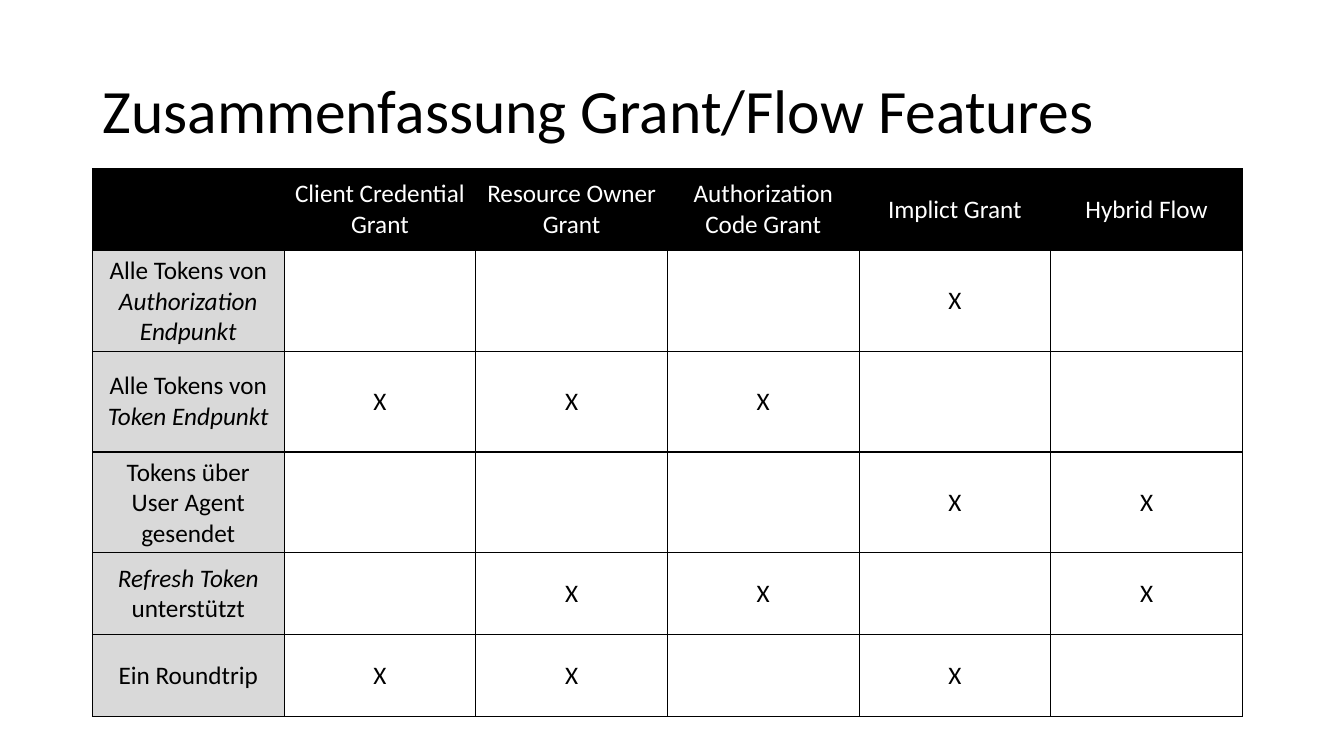
from lxml import etree
from pptx import Presentation
from pptx import util as u
from pptx.dml.color import RGBColor
from pptx.enum import text
from pptx.oxml import ns

COLORS = {"ink": "000000", "paper": "FFFFFF", "label": "D9D9D9"}
GRANTS = ["Client Credential Grant", "Resource Owner Grant",
          "Authorization Code Grant", "Implict Grant", "Hybrid Flow"]
# Per feature: label runs as (text, italic), marks per grant, row height in cm
FEATURES = [
    ([("Alle Tokens von ", False), ("Authorization Endpunkt", True)], "---X-", 2.54),
    ([("Alle Tokens von ", False), ("Token Endpunkt", True)], "XXX--", 2.54),
    ([("Tokens über User Agent gesendet", False)], "---XX", 2.54),
    ([("Refresh Token ", True), ("unterstützt", False)], "-XX-X", 2.06),
    ([("Ein Roundtrip", False)], "XX-X-", 2.06),
]
HEAD = 2.06
COL = 4.83


def color(name):
    return RGBColor.from_string(COLORS[name])


def assign(item, values):
    for name, value in values.items():
        setattr(item, name, value)


class Page:
    def __init__(self, slide, font):
        self.slide = slide
        self.font = font

    def fill_para(self, para, runs, size, ink):
        for words, slant in runs:
            run = para.add_run()
            run.text = words
            assign(run.font, {"name": self.font, "size": u.Pt(size), "italic": slant})
            run.font.color.rgb = color(ink)

    def title(self, words, box):
        frame = self.slide.shapes.add_textbox(*map(u.Cm, box)).text_frame
        assign(frame, {"word_wrap": True, "vertical_anchor": text.MSO_ANCHOR.MIDDLE})
        para = frame.paragraphs[0]
        para.line_spacing = 0.9
        self.fill_para(para, [(words, False)], 44, "ink")

    def border(self, cell):
        props = cell._tc.get_or_add_tcPr()
        for side in "LRTB":
            line = etree.SubElement(props, ns.qn(f"a:ln{side}"), w=str(u.Pt(1)))
            fill = etree.SubElement(line, ns.qn("a:solidFill"))
            etree.SubElement(fill, ns.qn("a:srgbClr"), val=COLORS["ink"])

    def cell(self, cell, runs, fill, ink):
        self.border(cell)
        cell.fill.solid()
        cell.fill.fore_color.rgb = color(fill)
        cell.vertical_anchor = text.MSO_ANCHOR.MIDDLE
        para = cell.text_frame.paragraphs[0]
        para.alignment = text.PP_ALIGN.CENTER
        self.fill_para(para, runs, 18, ink)

    def matrix(self, left, top):
        """Grants across, features down, an X where they meet."""
        highs = [HEAD] + [high for *_, high in FEATURES]
        wide = COL * (len(GRANTS) + 1)
        table = self.slide.shapes.add_table(
            len(highs), len(GRANTS) + 1,
            *map(u.Cm, (left, top, wide, sum(highs)))).table
        assign(table, {"first_row": False, "horz_banding": False})
        for col in table.columns:
            col.width = u.Cm(COL)
        for row, high in zip(table.rows, highs):
            row.height = u.Cm(high)

        for c, name in enumerate([""] + GRANTS):
            runs = [(name, False)] if name else []
            self.cell(table.cell(0, c), runs, "ink", "paper")
        for r, (label, marks, _) in enumerate(FEATURES, 1):
            self.cell(table.cell(r, 0), label, "label", "ink")
            for c, mark in enumerate(marks, 1):
                runs = [("X", False)] if mark == "X" else []
                self.cell(table.cell(r, c), runs, "paper", "ink")


def main():
    deck = Presentation()
    assign(deck, {"slide_width": u.Cm(33.87), "slide_height": u.Cm(19.05)})
    page = Page(deck.slides.add_slide(deck.slide_layouts[6]), "Calibri")
    page.title("Zusammenfassung Grant/Flow Features", (2.33, 1.01, 29.21, 3.68))
    page.matrix(2.33, 4.25)
    deck.save("out.pptx")


if __name__ == "__main__":
    main()
